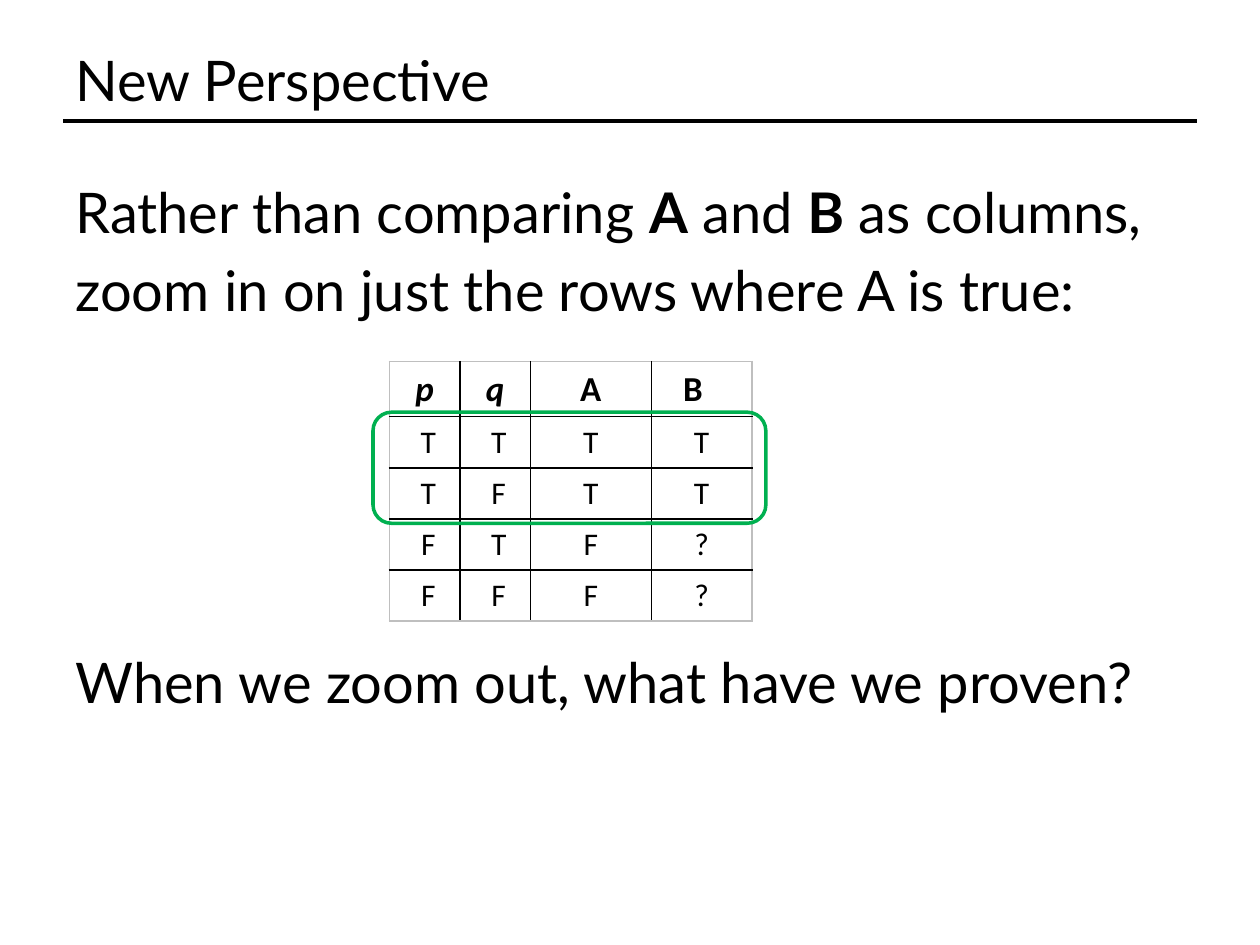
from lxml import etree
from pptx import Presentation
from pptx.dml.color import RGBColor
from pptx.enum.shapes import MSO_CONNECTOR, MSO_SHAPE
from pptx.enum.text import MSO_ANCHOR, PP_ALIGN
from pptx.oxml.ns import qn
from pptx.util import Cm, Pt

STRAIGHT = MSO_CONNECTOR.STRAIGHT
ROUNDED = MSO_SHAPE.ROUNDED_RECTANGLE
MIDDLE = MSO_ANCHOR.MIDDLE
CENTER = PP_ALIGN.CENTER
BLACK, GREY, GREEN = "000000", "BFBFBF", "00B050"


def color(value):
    return RGBColor.from_string(value)


def add_span(para, text, font, size, bold=False, italic=False):
    span = para.add_run()
    span.text = text
    span.font.name = font
    span.font.size = Pt(size)
    span.font.bold = bold
    span.font.italic = italic
    span.font.color.rgb = color(BLACK)


deck = Presentation()
deck.slide_width, deck.slide_height = Cm(25.4), Cm(19.05)
page = deck.slides.add_slide(deck.slide_layouts[6])

# Rule under the title
rule = page.shapes.add_connector(STRAIGHT, Cm(1.27), Cm(2.44), Cm(24.13), Cm(2.44))
rule.line.color.rgb = color(BLACK)
rule.line.width = Pt(2)
etree.SubElement(rule._element.spPr, qn("a:effectLst"))

# Title
title = page.shapes.add_textbox(Cm(1.27), Cm(0.76), Cm(22.86), Cm(1.68)).text_frame
title.word_wrap = True
title.vertical_anchor = MIDDLE
add_span(title.paragraphs[0], "New Perspective", "Lato", 32)

# Body: space before each paragraph in points, then (text, bold) runs;
# the last paragraph leaves room for the table
body_lines = [
    (0, [("Rather than comparing ", False), ("A", True), (" and ", False),
         ("B", True), (" as columns,", False)]),
    (6.4, [("zoom in on just the rows where A is true:", False)]),
    (185.6, [("When we zoom out, what have we proven?", False)]),
]
body = page.shapes.add_textbox(Cm(1.27), Cm(3.45), Cm(22.86), Cm(14.27)).text_frame
body.word_wrap = True
for index, (space, spans) in enumerate(body_lines):
    para = body.add_paragraph() if index else body.paragraphs[0]
    para.space_before = Pt(space)
    for text, bold in spans:
        add_span(para, text, "Lato", 32, bold)

# Truth table
rows = ["pqAB", "TTTT", "TFTT", "FTF?", "FFF?"]
widths = [1.42, 1.42, 2.44, 2.03]
table = page.shapes.add_table(
    len(rows), len(widths), Cm(7.85), Cm(7.29), Cm(sum(widths)), Cm(5.23)).table
for column, width in zip(table.columns, widths):
    column.width = Cm(width)
last_row, last_column = len(rows) - 1, len(widths) - 1
for r, values in enumerate(rows):
    header = r == 0
    table.rows[r].height = Cm(1.11 if header else 1.03)
    for c, value in enumerate(values):
        cell = table.cell(r, c)
        cell.vertical_anchor = MIDDLE
        # Shift the narrow columns right and the last heading left
        if c < 2 and not header:
            cell.margin_left = Cm(0.4)
        if c == last_column and header:
            cell.margin_right = Cm(0.61)
        para = cell.text_frame.paragraphs[0]
        para.alignment = CENTER
        add_span(para, value, "Calibri", 20 if header else 18, header, header and c < 2)

        # Grey outer borders, black inner ones
        outer = {"L": c == 0, "R": c == last_column, "T": header, "B": r == last_row}
        properties = cell._tc.get_or_add_tcPr()
        for side, is_outer in outer.items():
            border = etree.SubElement(properties, qn(f"a:ln{side}"), w=str(Pt(1)))
            fill = etree.SubElement(border, qn("a:solidFill"))
            etree.SubElement(fill, qn("a:srgbClr"), val=GREY if is_outer else BLACK)
        cell.fill.background()

# Frame around the rows where A is true
frame = page.shapes.add_shape(ROUNDED, Cm(7.52), Cm(8.31), Cm(7.92), Cm(2.24))
frame.shadow.inherit = False
frame.fill.background()
frame.line.color.rgb = color(GREEN)
frame.line.width = Pt(2)

deck.save("out.pptx")
